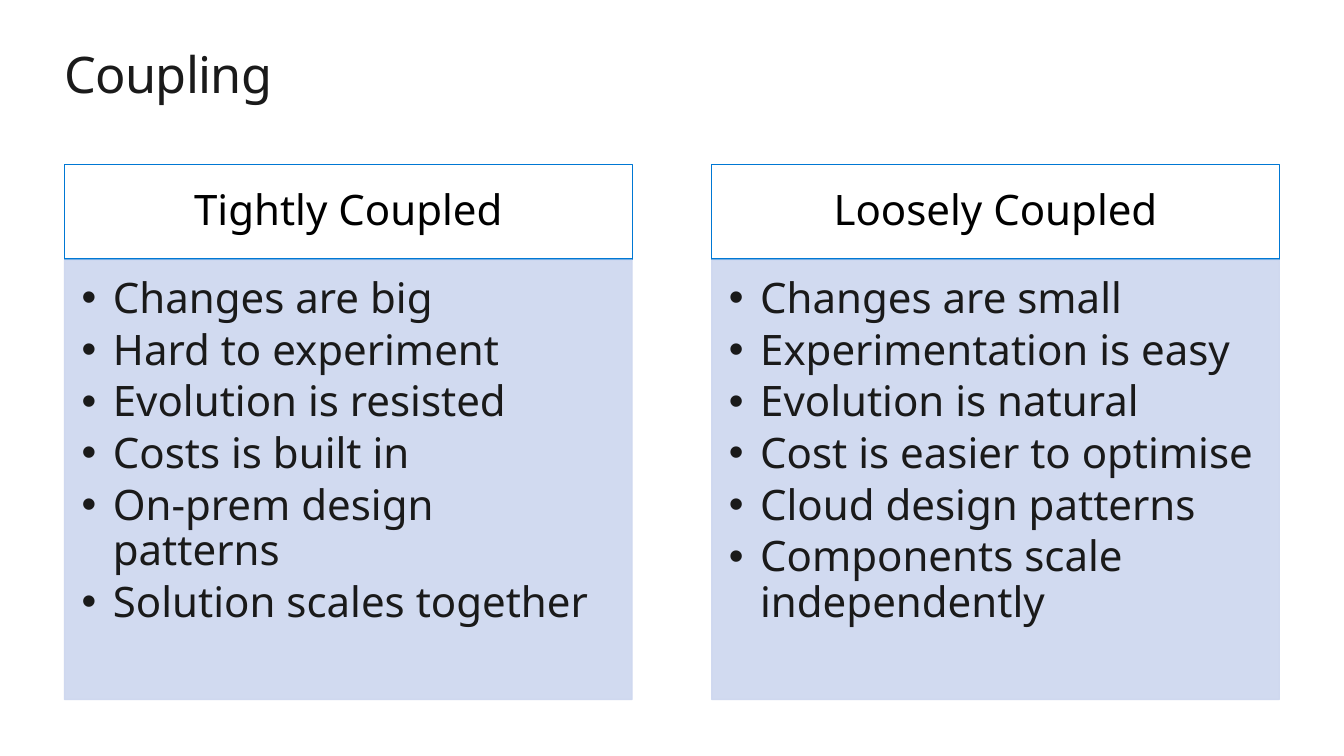
from dataclasses import dataclass

from lxml.etree import SubElement
from pptx import Presentation
from pptx.dml.color import RGBColor
from pptx.enum.text import MSO_ANCHOR, PP_ALIGN
from pptx.oxml.ns import qn
from pptx.util import Inches, Pt

FONT = "Noto Sans"
BLUE, PALE, INK, BLACK = "0078D4", "CCD6EF", "1A1A1A", "000000"
LEFT, HEADER_TOP, BODY_TOP = 0.64, 1.63, 2.58
WIDTH, HEADER_HEIGHT, BODY_HEIGHT = 5.63, 0.94, 4.36
COLUMN_STEP = 6.42
INDENT = Inches(0.31)


@dataclass
class Column:
    heading: str
    points: list[str]


COLUMNS = [
    Column("Tightly Coupled", [
        "Changes are big", "Hard to experiment", "Evolution is resisted",
        "Costs is built in", "On-prem design patterns",
        "Solution scales together"]),
    Column("Loosely Coupled", [
        "Changes are small", "Experimentation is easy", "Evolution is natural",
        "Cost is easier to optimise", "Cloud design patterns",
        "Components scale independently"]),
]


def rgb(color: str) -> RGBColor:
    return RGBColor.from_string(color)


def set_margins(frame, left: float, top: float, right: float, bottom: float) -> None:
    frame.margin_left, frame.margin_top = Inches(left), Inches(top)
    frame.margin_right, frame.margin_bottom = Inches(right), Inches(bottom)


def format_text(frame, size: float, color: str) -> None:
    for para in frame.paragraphs:
        for span in para.runs:
            span.font.name = FONT
            span.font.size = Pt(size)
            span.font.color.rgb = rgb(color)


def add_panel(page, left: float, top: float, height: float, line: str):
    box = page.shapes.add_shape(1, Inches(left), Inches(top), Inches(WIDTH), Inches(height))
    box.shadow.inherit = False
    box.fill.background()
    box.line.color.rgb = rgb(line)
    box.line.width = Pt(0.85)
    box.text_frame.word_wrap = True
    return box


def set_opacity(fill, percent: int) -> None:
    color = fill._xPr.find(qn("a:solidFill"))[0]
    SubElement(color, qn("a:alpha"), val=str(percent * 1000))


def add_bullet(para) -> None:
    properties = para._p.get_or_add_pPr()
    properties.set("marL", str(INDENT))
    properties.set("indent", str(-INDENT))
    SubElement(properties, qn("a:buFont"), typeface="Arial")
    SubElement(properties, qn("a:buChar"), char="•")


def add_header(page, left: float, heading: str) -> None:
    box = add_panel(page, left, HEADER_TOP, HEADER_HEIGHT, BLUE)
    frame = box.text_frame
    frame.text = heading
    frame.vertical_anchor = MSO_ANCHOR.MIDDLE
    set_margins(frame, 0.23, 0.13, 0.23, 0.13)
    frame.paragraphs[0].alignment = PP_ALIGN.CENTER
    frame.paragraphs[0].line_spacing = 0.9
    format_text(frame, 30, BLACK)


def add_body(page, left: float, points: list[str]) -> None:
    box = add_panel(page, left, BODY_TOP, BODY_HEIGHT, PALE)
    box.fill.solid()
    box.fill.fore_color.rgb = rgb(PALE)
    set_opacity(box.fill, 90)
    set_opacity(box.line.fill, 90)
    frame = box.text_frame
    frame.text = "\n".join(points)
    frame.vertical_anchor = MSO_ANCHOR.TOP
    set_margins(frame, 0.17, 0.17, 0.23, 0.26)
    for para in frame.paragraphs:
        para.alignment = PP_ALIGN.LEFT
        para.line_spacing = 0.9
        para.space_after = Pt(4.5)
        add_bullet(para)
    format_text(frame, 30, INK)


deck = Presentation()
deck.slide_width, deck.slide_height = Inches(13.33), Inches(7.5)
page = deck.slides.add_slide(deck.slide_layouts[5])

# Title
title = page.shapes.title
title.left, title.top = Inches(LEFT), Inches(0.5)
title.width, title.height = Inches(12.05), Inches(0.61)
title.text_frame.text = "Coupling"
title.text_frame.vertical_anchor = MSO_ANCHOR.TOP
set_margins(title.text_frame, 0, 0, 0, 0)
title.text_frame.paragraphs[0].alignment = PP_ALIGN.LEFT
title.text_frame.paragraphs[0].line_spacing = 0.9
format_text(title.text_frame, 36, INK)
title.text_frame.paragraphs[0].runs[0].font._element.set("spc", "-50")

# Comparison columns
for index, column in enumerate(COLUMNS):
    column_left = LEFT + index * COLUMN_STEP
    add_header(page, column_left, column.heading)
    add_body(page, column_left, column.points)

deck.save("out.pptx")
